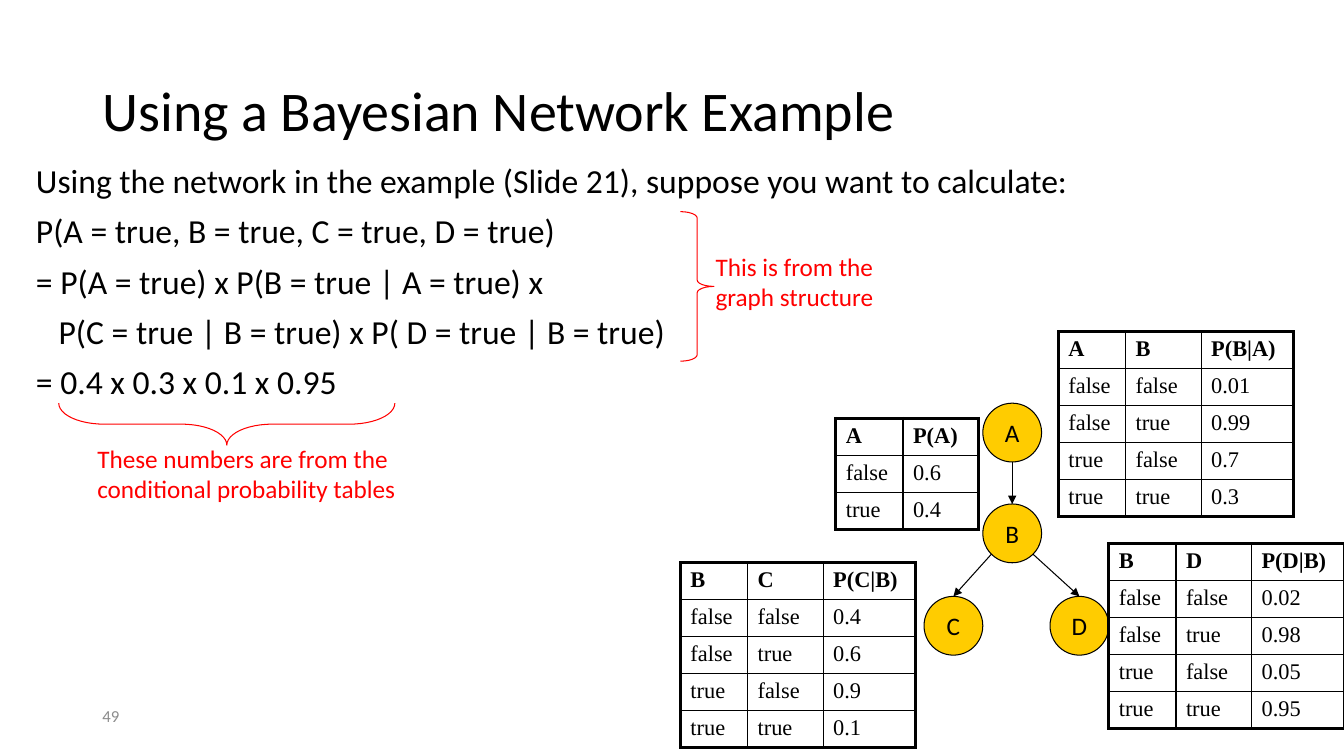
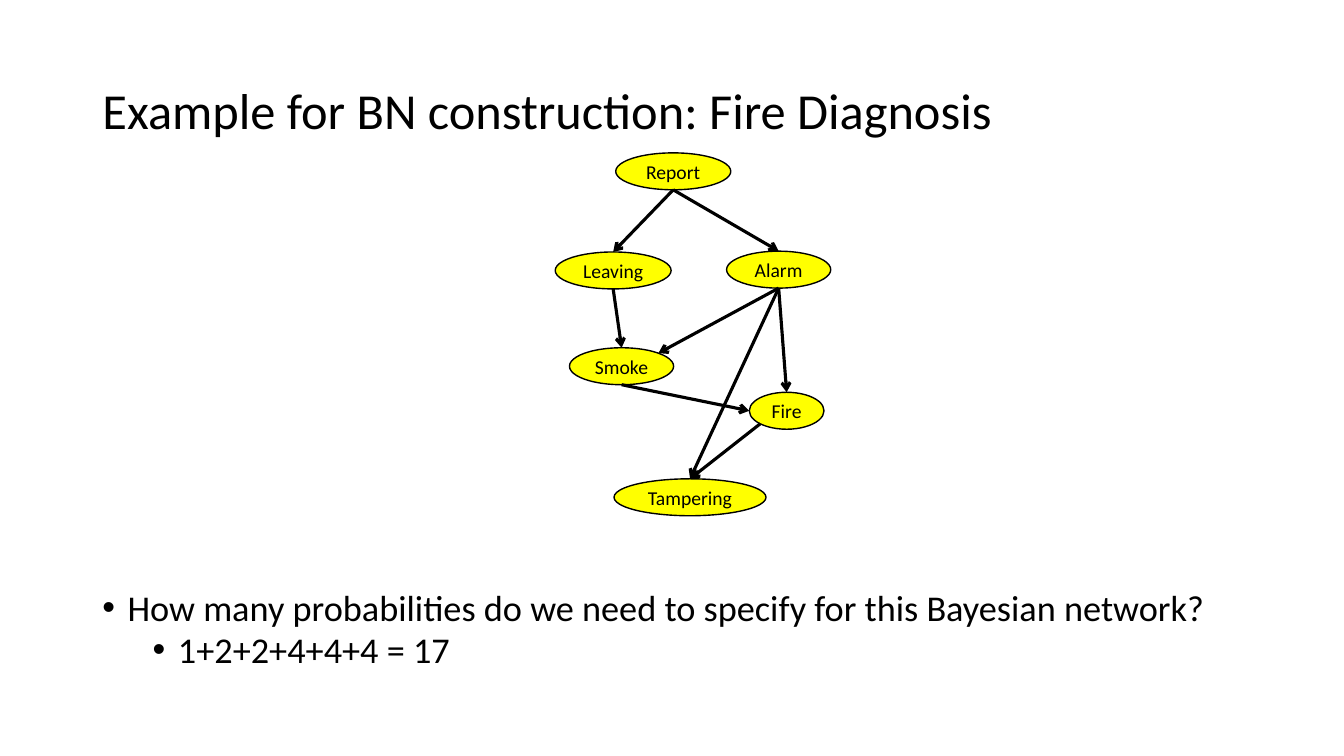
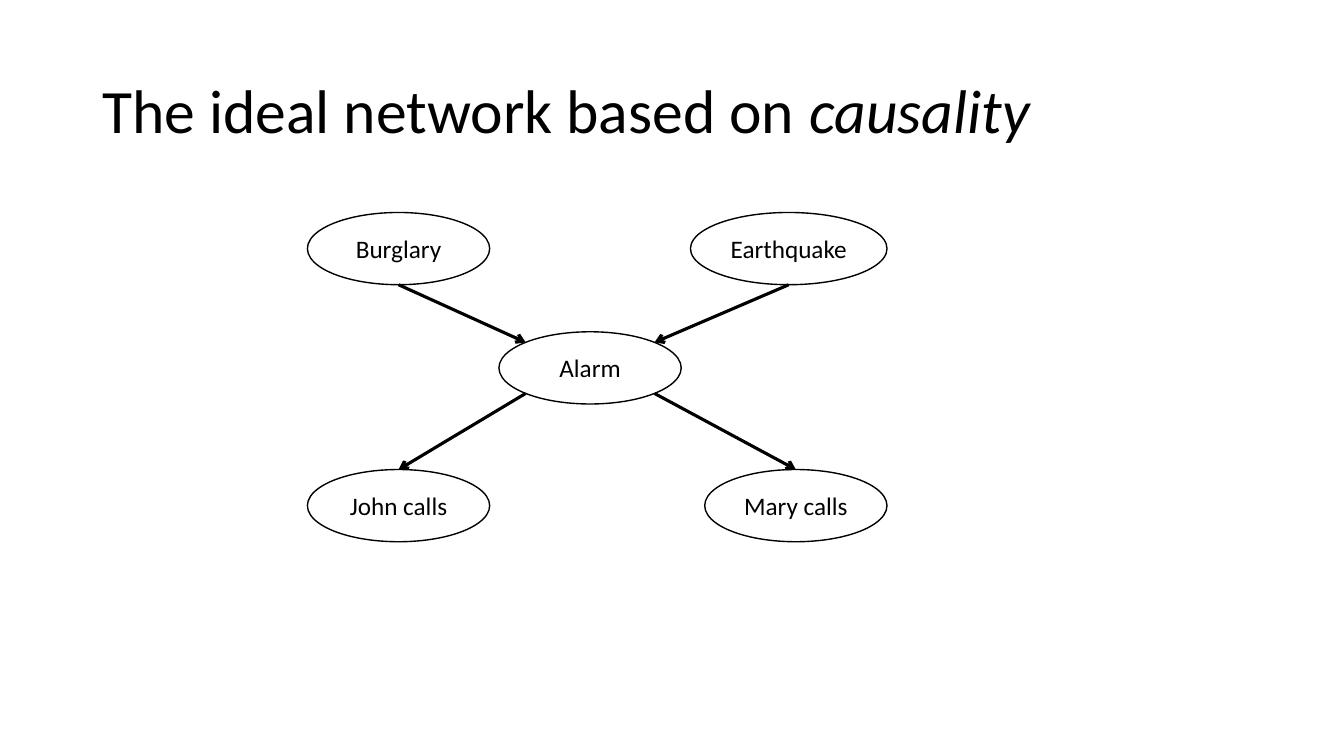
from math import cos, radians, sin

from lxml import etree
from pptx import Presentation, util as u
from pptx.dml.color import RGBColor
from pptx.enum import shapes, text
from pptx.oxml.ns import qn

COLS, ROWS = 160, 90
BLACK, RED, GOLD, YELLOW, GREY = "000000", "FF0000", "FFCC00", "FFFF00", "8C8C8C"
TOP, LEFT, LOW_LEFT, BOTTOM, LOW_RIGHT, HIGH_LEFT, HIGH_RIGHT = 90, 180, 225, 270, 315, 135, 45


def hue(code):
    return RGBColor.from_string(code)


class Deck:
    font = "Calibri"

    def __init__(self):
        self.prs = Presentation()
        self.prs.slide_width = u.Inches(13.33)
        self.prs.slide_height = u.Inches(7.5)
        self.slide = None

    def x(self, cols):
        return round(self.prs.slide_width * cols / COLS)

    def y(self, rows):
        return round(self.prs.slide_height * rows / ROWS)

    def box(self, x, y, w, h):
        return self.x(x), self.y(y), self.x(w), self.y(h)

    def style(self, para, size, color=BLACK, font=None, bold=False):
        for run in para.runs:
            run.font.name = font or self.font
            run.font.size = u.Pt(size)
            run.font.bold = bold
            run.font.color.rgb = hue(color)

    def title(self, words, size, width=138, slant=""):
        layout = self.prs.slide_layouts.get_by_name("Title Only")
        self.slide = self.prs.slides.add_slide(layout)
        head = self.slide.shapes.title
        head.left, head.top, head.width, head.height = self.box(11, 4.8, width, 17.4)
        frame = head.text_frame
        frame.text = words
        frame.auto_size = text.MSO_AUTO_SIZE.NONE
        frame.vertical_anchor = text.MSO_ANCHOR.MIDDLE
        para = frame.paragraphs[0]
        para.alignment = text.PP_ALIGN.LEFT
        para.line_spacing = 0.9
        if slant:
            run = para.add_run()
            run.text = slant
            run.font.italic = True
        self.style(para, size)

    def text(self, place, lines, size, color=BLACK, space=1.0, before=0):
        frame = self.slide.shapes.add_textbox(*self.box(*place)).text_frame
        frame.word_wrap = True
        frame.text = "\n".join(lines)
        for para in frame.paragraphs:
            para.line_spacing = space
            para.space_before = u.Pt(before)
            self.style(para, size, color)
        return frame

    def indent(self, para, left, bullet=False):
        props = para._p.get_or_add_pPr()
        props.set("marL", str(self.x(left)))
        if bullet:
            props.set("indent", str(-self.x(3)))
            etree.SubElement(props, qn("a:buFont"), typeface="Arial")
            etree.SubElement(props, qn("a:buChar"), char="•")

    def node(self, name, place, size, fill=None, width=1.0):
        oval = self.slide.shapes.add_shape(shapes.MSO_SHAPE.OVAL, *self.box(*place))
        oval.shadow.inherit = False
        if fill:
            oval.fill.solid()
            oval.fill.fore_color.rgb = hue(fill)
        else:
            oval.fill.background()
        oval.line.color.rgb = hue(BLACK)
        oval.line.width = u.Pt(width)
        frame = oval.text_frame
        frame.text = name
        frame.word_wrap = False
        frame.vertical_anchor = text.MSO_ANCHOR.MIDDLE
        frame.paragraphs[0].alignment = text.PP_ALIGN.CENTER
        self.style(frame.paragraphs[0], size)
        return oval

    def port(self, oval, angle):
        turn = radians(angle)
        return (round(oval.left + oval.width / 2 * (1 + cos(turn))),
                round(oval.top + oval.height / 2 * (1 - sin(turn))))

    def arrow(self, start, out, end, into=TOP, width=2.25, head="arrow"):
        line = self.slide.shapes.add_connector(
            shapes.MSO_CONNECTOR.STRAIGHT, *self.port(start, out), *self.port(end, into))
        line.line.color.rgb = hue(BLACK)
        line.line.width = u.Pt(width)
        props = line._element.spPr
        etree.SubElement(props.find(qn("a:ln")), qn("a:tailEnd"), type=head)
        etree.SubElement(props, qn("a:effectLst"))

    def brace(self, place, bend, turn=0):
        curl = self.slide.shapes.add_shape(shapes.MSO_SHAPE.RIGHT_BRACE, *self.box(*place))
        curl.shadow.inherit = False
        curl.fill.background()
        curl.line.color.rgb = hue(RED)
        curl.line.width = u.Pt(0.75)
        curl.adjustments[0] = bend
        curl.rotation = turn

    def border(self, cell, edges):
        props = cell._tc.get_or_add_tcPr()
        for side, outer in edges:
            line = etree.SubElement(props, qn("a:ln" + side), w=str(u.Pt(2.25 if outer else 1)))
            paint = etree.SubElement(line, qn("a:solidFill"))
            etree.SubElement(paint, qn("a:srgbClr"), val=BLACK)

    def table(self, x, y, rows, widths):
        tall = 4.4
        place = self.box(x, y, sum(widths), tall * len(rows))
        grid = self.slide.shapes.add_table(len(rows), len(widths), *place).table
        grid.horz_banding = False
        for col, width in zip(grid.columns, widths):
            col.width = self.x(width)
        for r, row in enumerate(rows):
            grid.rows[r].height = self.y(tall)
            for c, value in enumerate(row):
                cell = grid.cell(r, c)
                self.border(cell, (("L", c == 0), ("R", c == len(row) - 1),
                                   ("T", r == 0), ("B", r == len(rows) - 1)))
                cell.fill.background()
                cell.text = value
                self.style(cell.text_frame.paragraphs[0], 16, font="Times New Roman", bold=r == 0)


def bayes(deck):
    deck.title("Using a Bayesian Network Example", 40)
    deck.text((11, 83.4, 36, 4.8), ["49"], 12, GREY)
    sums = deck.text((3.1, 19, 128, 34), [
        "Using the network in the example (Slide 21), suppose you want to calculate:",
        "P(A = true, B = true, C = true, D = true)",
        "= P(A = true) x P(B = true | A = true) x",
        "P(C = true | B = true) x P( D = true | B = true)",
        "= 0.4 x 0.3 x 0.1 x 0.95"], 24, space=0.9, before=10)
    deck.indent(sums.paragraphs[3], 2.7)

    spots = {"A": (117, 48), "B": (117, 60), "C": (110, 71), "D": (125, 71)}
    nodes = {name: deck.node(name, (*spot, 7, 7), 18, GOLD, 0.75) for name, spot in spots.items()}
    for start, out, end in (("A", BOTTOM, "B"), ("B", LOW_LEFT, "C"), ("B", LOW_RIGHT, "D")):
        deck.arrow(nodes[start], out, nodes[end], width=0.75, head="triangle")

    deck.brace((81, 25.2, 4, 17.8), 0.19)
    deck.text((84, 29.3, 24, 8.5), ["This is from the graph structure"], 18, RED)
    deck.brace((24.5, 30.5, 5, 40), 1.08, 90)
    deck.text((10.4, 52.2, 42, 8.5),
              ["These numbers are from the conditional probability tables"], 18, RED)

    deck.table(99.5, 49.8, [("A", "P(A)"), ("false", "0.6"), ("true", "0.4")], (8, 9))
    pairs = [(a, b) for a in ("false", "true") for b in ("false", "true")]
    for x, y, given, name, odds in (
            (126, 39.5, "A", "B", ("0.01", "0.99", "0.7", "0.3")),
            (81, 67, "B", "C", ("0.4", "0.6", "0.9", "0.1")),
            (132, 64.7, "B", "D", ("0.02", "0.98", "0.05", "0.95"))):
        rows = [(given, name, f"P({name}|{given})")]
        rows += [(*pair, odd) for pair, odd in zip(pairs, odds)]
        deck.table(x, y, rows, (8, 9, 11))


def fire(deck):
    deck.title("Example for BN construction: Fire Diagnosis", 36)
    points = deck.text((11, 70.1, 138, 11), [
        "How many probabilities do we need to specify for this Bayesian network?",
        "1+2+2+4+4+4 = 17"], 25.9, space=0.8, before=5).paragraphs
    points[1].level = 1
    for para, left in zip(points, (3, 9)):
        deck.indent(para, left, bullet=True)

    spots = {"Tampering": (73.1, 57, 18.1), "Fire": (89.2, 46.7, 8.9),
             "Alarm": (86.5, 29.9, 12.4), "Smoke": (67.8, 41.4, 12.4),
             "Leaving": (66.1, 30, 13.8), "Report": (73.3, 18.2, 13.7)}
    nodes = {name: deck.node(name, (*spot, 4.4), 14, YELLOW) for name, spot in spots.items()}
    for start, out, end, into in (
            ("Fire", LOW_LEFT, "Tampering", TOP), ("Alarm", BOTTOM, "Fire", TOP),
            ("Leaving", BOTTOM, "Smoke", TOP), ("Report", BOTTOM, "Alarm", TOP),
            ("Report", BOTTOM, "Leaving", TOP), ("Smoke", BOTTOM, "Fire", LEFT),
            ("Alarm", BOTTOM, "Smoke", HIGH_RIGHT), ("Alarm", BOTTOM, "Tampering", TOP)):
        deck.arrow(nodes[start], out, nodes[end], into)


def ideal(deck):
    deck.title("The ideal network based on ", 44, 142.4, "causality")
    spots = {"Burglary": (36.6, 25.3, 21.7), "Earthquake": (82.2, 25.3, 23.4),
             "Alarm": (59.4, 39.5, 21.7), "Mary calls": (83.9, 55.9, 21.7),
             "John calls": (36.6, 55.9, 21.7)}
    nodes = {name: deck.node(name, (*spot, 8.6), 18) for name, spot in spots.items()}
    alarm = nodes["Alarm"]
    for name, into in (("Burglary", HIGH_LEFT), ("Earthquake", HIGH_RIGHT)):
        deck.arrow(nodes[name], BOTTOM, alarm, into)
    for name, out in (("John calls", LOW_LEFT), ("Mary calls", LOW_RIGHT)):
        deck.arrow(alarm, out, nodes[name])


def main():
    deck = Deck()
    for build in (bayes, fire, ideal):
        build(deck)
    deck.prs.save("out.pptx")


if __name__ == "__main__":
    main()
